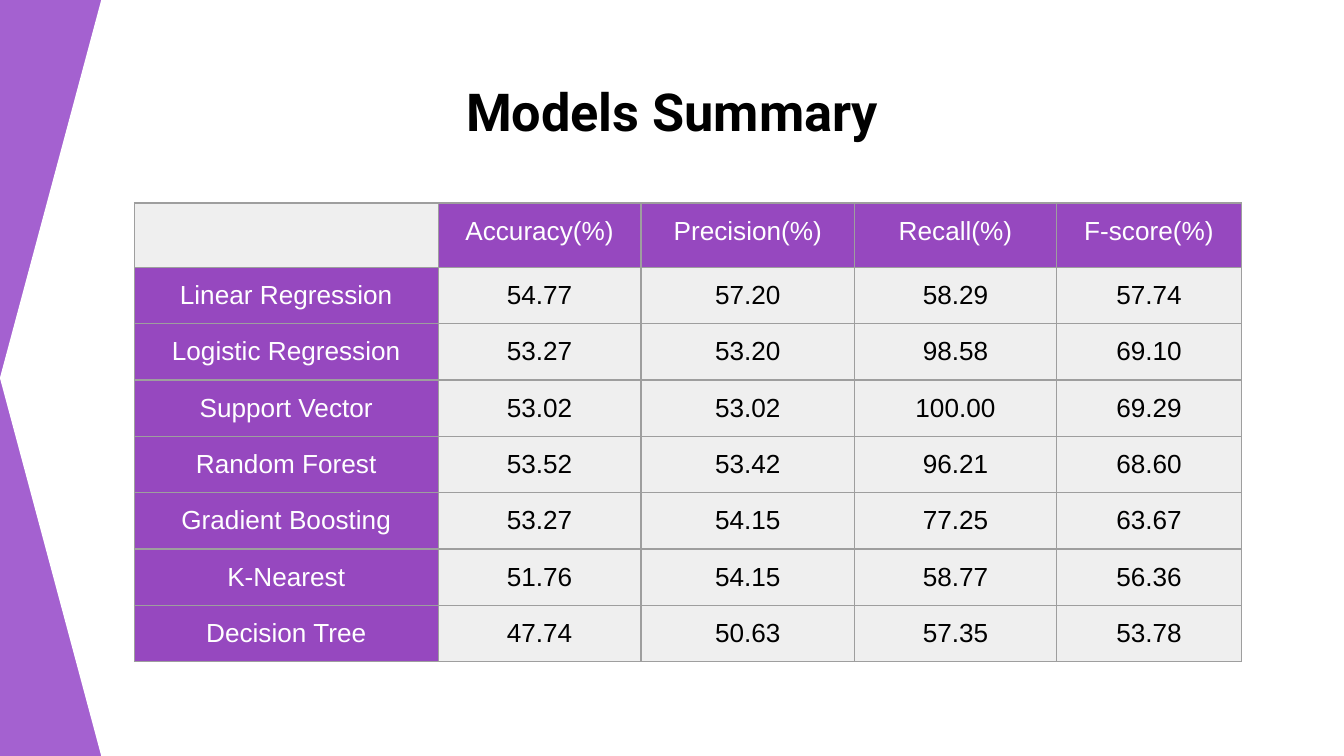
"""Build the Models Summary slide with its table of model scores."""
from dataclasses import dataclass

from lxml import etree
from pptx import Presentation
from pptx.dml.color import RGBColor
from pptx.enum import shapes, text
from pptx.oxml import ns
from pptx.util import Inches, Pt


@dataclass(frozen=True)
class Theme:
    backdrop: str = "A461D0"
    panel: str = "FFFFFF"
    header: str = "9648BF"
    body: str = "EFEFEF"
    border: str = "9E9E9E"
    light: str = "FFFFFF"
    dark: str = "000000"
    title_font: str = "Roboto"
    table_font: str = "Arial"
    title_size: int = 28
    table_size: int = 14
    blank_size: int = 18
    border_width: float = 0.75


THEME = Theme()
WIDTH = 10
HEIGHT = WIDTH * 9 / 16
INSET = 0.1
COLUMN_WIDTHS = [2.26, 1.51, 1.59, 1.5, 1.38]
ROW_HEIGHT = 5 / 12
SCORES = [
    ["", "Accuracy(%)", "Precision(%)", "Recall(%)", "F-score(%)"],
    ["Linear Regression", "54.77", "57.20", "58.29", "57.74"],
    ["Logistic Regression", "53.27", "53.20", "98.58", "69.10"],
    ["Support Vector", "53.02", "53.02", "100.00", "69.29"],
    ["Random Forest", "53.52", "53.42", "96.21", "68.60"],
    ["Gradient Boosting", "53.27", "54.15", "77.25", "63.67"],
    ["K-Nearest", "51.76", "54.15", "58.77", "56.36"],
    ["Decision Tree", "47.74", "50.63", "57.35", "53.78"],
]


def set_fill(fill, color):
    fill.solid()
    fill.fore_color.rgb = RGBColor.from_string(color)


def set_insets(frame):
    frame.margin_left = frame.margin_right = Inches(INSET)
    frame.margin_top = frame.margin_bottom = Inches(INSET)


def add_centered_run(frame, words, font_name, size, color, bold=False):
    paragraph = frame.paragraphs[0]
    paragraph.alignment = text.PP_ALIGN.CENTER
    run = paragraph.add_run()
    run.text = words
    run.font.name = font_name
    run.font.size = Pt(size)
    run.font.bold = bold
    run.font.color.rgb = RGBColor.from_string(color)


def set_blank_font(frame):
    end = etree.SubElement(
        frame.paragraphs[0]._p, ns.qn("a:endParaRPr"), sz=str(THEME.blank_size * 100))
    etree.SubElement(end, ns.qn("a:latin"), typeface=THEME.table_font)


def add_panel(slide):
    panel = slide.shapes.add_shape(
        shapes.MSO_SHAPE.PENTAGON, 0, 0, Inches(WIDTH), Inches(HEIGHT))
    panel.adjustments[0] = 0.134
    panel.shadow.inherit = False
    set_fill(panel.fill, THEME.panel)
    panel.line.fill.background()
    panel._element.spPr.get_or_add_xfrm().set("flipH", "1")
    slide.shapes._spTree.insert(2, panel._element)


def fill_title(slide, words):
    title = slide.shapes.title
    title.left, title.top = Inches(0.78), Inches(0.49)
    title.width, title.height = Inches(8.44), Inches(0.63)
    frame = title.text_frame
    frame.word_wrap = True
    frame.auto_size = text.MSO_AUTO_SIZE.NONE
    frame.vertical_anchor = text.MSO_ANCHOR.TOP
    set_insets(frame)
    add_centered_run(frame, words, THEME.title_font, THEME.title_size, THEME.dark, True)


def set_borders(cell):
    properties = cell._tc.get_or_add_tcPr()
    for index, side in enumerate(["lnL", "lnR", "lnT", "lnB"]):
        line = etree.Element(ns.qn(f"a:{side}"), w=str(Pt(THEME.border_width)))
        fill = etree.SubElement(line, ns.qn("a:solidFill"))
        etree.SubElement(fill, ns.qn("a:srgbClr"), val=THEME.border)
        properties.insert(index, line)


def fill_cell(cell, words, is_header):
    set_insets(cell)
    set_fill(cell.fill, THEME.header if is_header else THEME.body)
    set_borders(cell)
    if words:
        color = THEME.light if is_header else THEME.dark
        add_centered_run(cell.text_frame, words, THEME.table_font, THEME.table_size, color)
    else:
        set_blank_font(cell.text_frame)


def add_score_table(slide):
    table = slide.shapes.add_table(
        len(SCORES), len(COLUMN_WIDTHS), Inches(1), Inches(1.51),
        Inches(sum(COLUMN_WIDTHS)), Inches(ROW_HEIGHT * len(SCORES))).table
    table.first_row = table.horz_banding = False
    for column, width in zip(table.columns, COLUMN_WIDTHS):
        column.width = Inches(width)
    for row_index, scores in enumerate(SCORES):
        table.rows[row_index].height = Inches(ROW_HEIGHT)
        for column_index, words in enumerate(scores):
            is_header = bool(words) and 0 in (row_index, column_index)
            fill_cell(table.cell(row_index, column_index), words, is_header)


def main():
    presentation = Presentation()
    presentation.slide_width = Inches(WIDTH)
    presentation.slide_height = Inches(HEIGHT)
    slide = presentation.slides.add_slide(presentation.slide_layouts[5])
    set_fill(slide.background.fill, THEME.backdrop)
    add_panel(slide)
    fill_title(slide, "Models Summary")
    add_score_table(slide)
    presentation.save("out.pptx")


if __name__ == "__main__":
    main()
